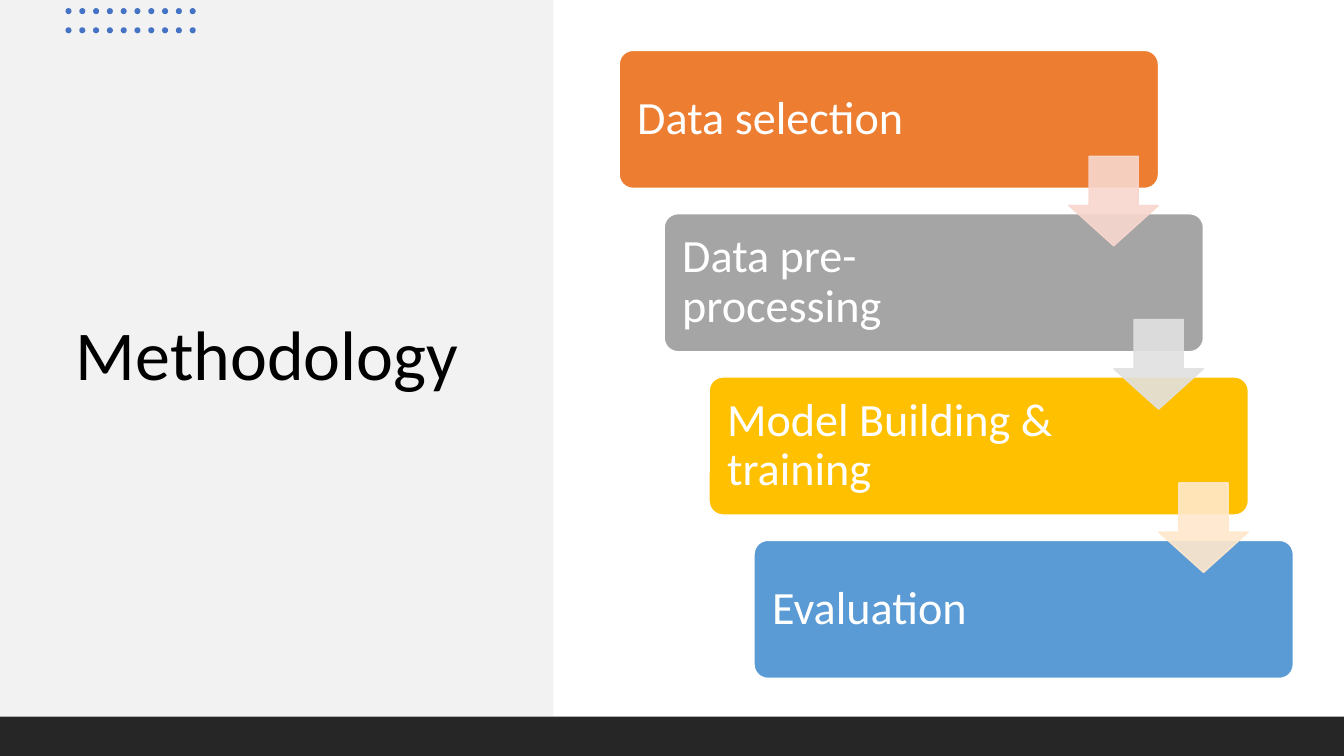
import pptx
import pptx.util
import pptx.dml.color
import pptx.enum.shapes
import pptx.enum.text
import pptx.oxml.ns
import lxml.etree

Pt = pptx.util.Pt
KIND = pptx.enum.shapes.MSO_SHAPE
STEPS = [
    ("Data selection", "ED7D31", "F8D7CE"),
    ("Data pre-processing", "A5A5A5", "E1E1E1"),
    ("Model Building & training", "FFC000", "FFE8CC"),
    ("Evaluation", "5B9BD5", None),
]


def tint(form, hue, alpha=None):
    """Give a fill or font format a solid hex colour, with optional opacity in percent."""
    if hasattr(form, "solid"):
        form.solid()
        color = form.fore_color
    else:
        color = form.color
    color.rgb = pptx.dml.color.RGBColor.from_string(hue)
    if alpha:
        node = form._xPr.find(".//" + pptx.oxml.ns.qn("a:srgbClr"))
        lxml.etree.SubElement(node, pptx.oxml.ns.qn("a:alpha"), val=str(alpha * 1000))


def assign(thing, form):
    """Set each attribute named in a dict of format values."""
    for name, value in form.items():
        setattr(thing, name, value)


def draw(shapes, kind, box, hue, edge=None, alpha=None, bends=()):
    """Add a flat preset shape in a box given in points."""
    shape = shapes.add_shape(kind, *map(Pt, box))
    shape.shadow.inherit = False
    for spot, bend in enumerate(bends):
        shape.adjustments[spot] = bend
    tint(shape.fill, hue, alpha)
    if edge:
        tint(shape.line.fill, edge, alpha)
        shape.line.width = Pt(1)
    else:
        shape.line.fill.background()
    return shape


def write(shape, text, size, hue, frame):
    """Write one left-aligned paragraph in a shape's text frame."""
    body = shape.text_frame
    body.text = text
    assign(body, {
        "word_wrap": True,
        "auto_size": pptx.enum.text.MSO_AUTO_SIZE.NONE,
        "vertical_anchor": pptx.enum.text.MSO_ANCHOR.MIDDLE,
        **frame,
    })
    line = body.paragraphs[0]
    assign(line, {"alignment": pptx.enum.text.PP_ALIGN.LEFT, "line_spacing": 0.9})
    assign(line.runs[0].font, {"name": "Calibri", "size": Pt(size)})
    tint(line.runs[0].font.fill, hue)


def head(slide, box):
    """Place the title within the left panel."""
    left, top, width, height = box
    title = slide.shapes.title
    assign(title, {
        "left": Pt(left + 47), "top": Pt(top + 95),
        "width": Pt(width - 90), "height": Pt(height - 191),
    })
    write(title, "Methodology", 50, "000000", {})


def dots(slide, box):
    """Fill a box with two rows of ten dots."""
    left, top, width, height = box
    size = 4.3
    group = slide.shapes.add_group_shape()
    for row in range(2):
        for col in range(10):
            spot = (left + col * (width - size) / 9, top + row * (height - size), size, size)
            draw(group.shapes, KIND.OVAL, spot, "4472C4")


def stairs(slide, box):
    """Lay the step cards down a staircase and overlay the arrows between them."""
    left, top, width, height = box
    wide, tall = 385.2, 98.6
    gaps = len(STEPS) - 1
    across, down = (width - wide) / gaps, (height - tall) / gaps
    spots = [(left + i * across, top + i * down) for i in range(len(STEPS))]
    group = slide.shapes.add_group_shape()
    for (x, y), (text, hue, _) in zip(spots, STEPS):
        card = draw(group.shapes, KIND.ROUNDED_RECTANGLE, (x, y, wide, tall), hue, "FFFFFF", bends=[0.1])
        write(card, text, 33, "FFFFFF", {"margin_left": Pt(10), "margin_right": Pt(106.5)})
    for (x, y), (_, _, hue) in zip(spots, STEPS):
        if hue:
            spot = (x + 321.2, y + 75.6, 64, 64)
            draw(group.shapes, KIND.DOWN_ARROW, spot, hue, hue, 90, [0.55, 0.45])


def main():
    """Build the methodology slide and save it."""
    deck = pptx.Presentation()
    assign(deck, {"slide_width": Pt(960), "slide_height": Pt(540)})
    slide = deck.slides.add_slide(deck.slide_layouts[5])
    panel = (0, 0, 395.3, 511.5)
    back = draw(slide.shapes, KIND.RECTANGLE, panel, "F2F2F2")
    slide.shapes.title.element.addprevious(back.element)
    head(slide, panel)
    dots(slide, (46.8, 5.8, 93, 18))
    draw(slide.shapes, KIND.RECTANGLE, (0, 511.8, 960, 28.2), "262626")
    stairs(slide, (442.3, 36, 481.5, 448.6))
    deck.save("out.pptx")


if __name__ == "__main__":
    main()
